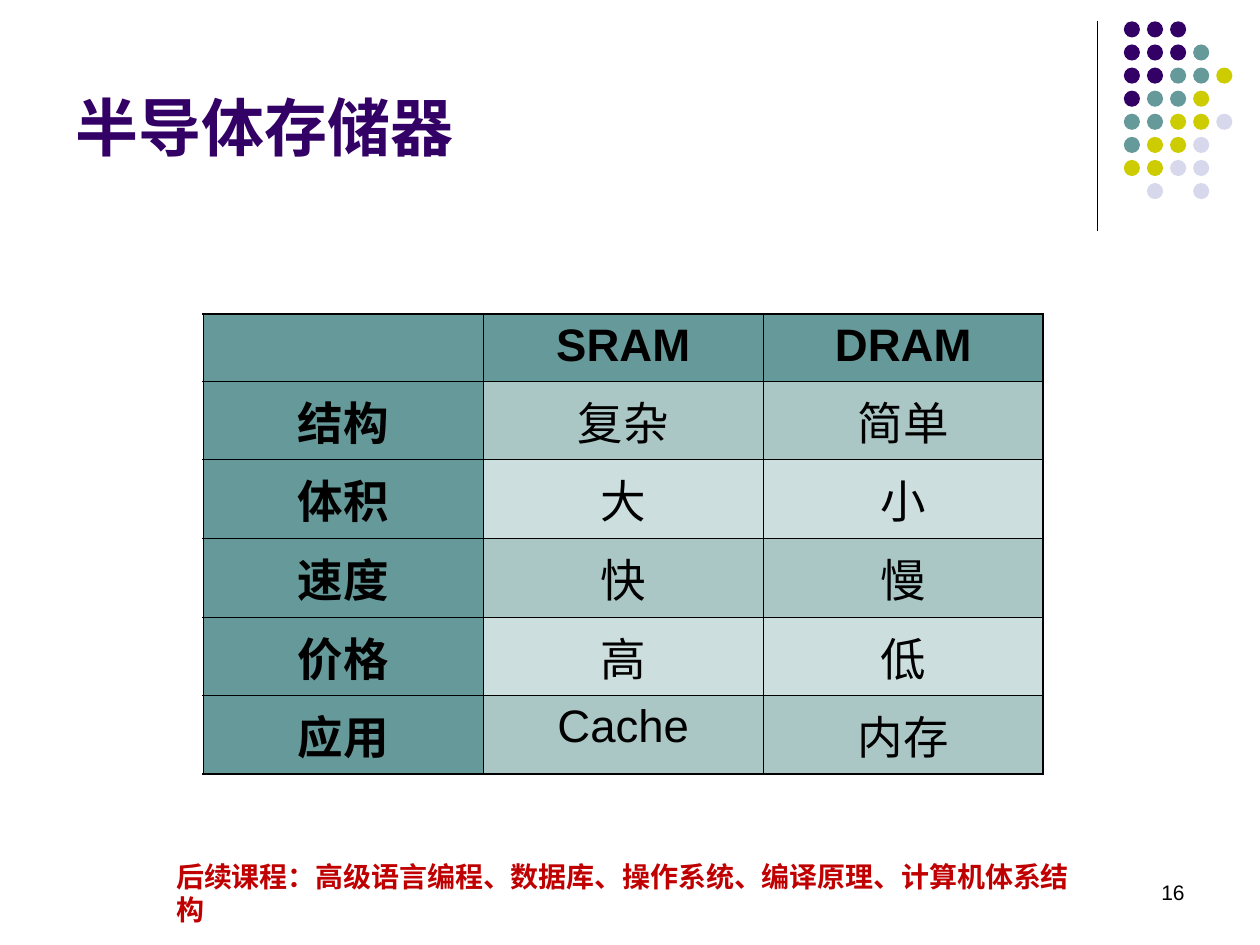
from dataclasses import dataclass

from lxml.etree import SubElement
from pptx import Presentation
from pptx.dml.color import RGBColor as RGB
from pptx.enum.shapes import MSO_CONNECTOR as Conn, MSO_SHAPE as Shape
from pptx.enum.text import MSO_ANCHOR as Anchor, MSO_AUTO_SIZE as AutoSize, PP_ALIGN as Align
from pptx.oxml.ns import qn
from pptx.util import Pt


@dataclass(frozen=True)
class Theme:
    font: str = "Arial"
    ink: str = "000000"
    purple: str = "330066"
    teal: str = "669999"
    olive: str = "CCCC00"
    lilac: str = "D8D8EC"
    band_dark: str = "AAC7C6"
    band_light: str = "CCDEDE"
    accent: str = "C00000"
    title_size: int = 36
    table_size: int = 26
    note_size: int = 16
    number_size: int = 12
    outer_border: float = 1.08
    inner_border: float = 0.45


class SlideBuilder:
    def __init__(self, prs, theme):
        self.theme = theme
        self.s = prs.slides.add_slide(prs.slide_layouts[5])

    def set_text(self, tf, text, size, color, bold=False, align=Align.LEFT):
        tf.text = text
        p = tf.paragraphs[0]
        p.alignment = align
        for r in p.runs:
            r.font.name = self.theme.font
            r.font.size = Pt(size)
            r.font.bold = bold
            r.font.color.rgb = RGB.from_string(color)

    def title(self, text, left, top, width, height):
        sp = self.s.shapes.title
        sp.left, sp.top, sp.width, sp.height = map(Pt, (left, top, width, height))
        tf = sp.text_frame
        tf.auto_size = AutoSize.NONE
        tf.vertical_anchor = Anchor.MIDDLE
        self.set_text(tf, text, self.theme.title_size, self.theme.purple, bold=True)

    def text(self, text, box, size, color, bold=False, align=Align.LEFT, wrap=True):
        tf = self.s.shapes.add_textbox(*map(Pt, box)).text_frame
        tf.word_wrap = wrap
        tf.vertical_anchor = Anchor.MIDDLE
        self.set_text(tf, text, size, color, bold, align)

    def line(self, x1, y1, x2, y2, width):
        sp = self.s.shapes.add_connector(Conn.STRAIGHT, *map(Pt, (x1, y1, x2, y2)))
        sp.line.color.rgb = RGB.from_string(self.theme.ink)
        sp.line.width = Pt(width)
        SubElement(sp._element.spPr, qn("a:effectLst"))

    def dots(self, pattern, left, top, pitch, size):
        t = self.theme
        colors = {"P": t.purple, "T": t.teal, "O": t.olive, "L": t.lilac}
        group = self.s.shapes.add_group_shape()
        for row, marks in enumerate(pattern):
            for col, mark in enumerate(marks):
                if mark not in colors:
                    continue
                x, y = left + col * pitch, top + row * pitch
                sp = group.shapes.add_shape(Shape.OVAL, Pt(x), Pt(y), Pt(size), Pt(size))
                sp.shadow.inherit = False
                sp.fill.solid()
                sp.fill.fore_color.rgb = RGB.from_string(colors[mark])
                sp.line.fill.background()

    def borders(self, cell, outer_sides):
        tc_pr = cell._tc.get_or_add_tcPr()
        for side in "LRTB":
            width = self.theme.outer_border if side in outer_sides else self.theme.inner_border
            ln = SubElement(tc_pr, qn(f"a:ln{side}"), w=str(Pt(width)))
            fill = SubElement(ln, qn("a:solidFill"))
            SubElement(fill, qn("a:srgbClr"), val=self.theme.ink)

    def table(self, rows, left, top, width, height):
        t = self.theme
        last_row, last_col = len(rows) - 1, len(rows[0]) - 1
        frame = self.s.shapes.add_table(
            last_row + 1, last_col + 1, Pt(left), Pt(top), Pt(width), Pt(height))
        table = frame.table
        table.first_row = table.horz_banding = False
        for i, row in enumerate(rows):
            for j, text in enumerate(row):
                cell = table.cell(i, j)
                header = i == 0 or j == 0
                edges = {"L": j == 0, "R": j == last_col, "T": i == 0, "B": i == last_row}
                self.borders(cell, [side for side, outer in edges.items() if outer])
                band = t.band_dark if i % 2 else t.band_light
                cell.fill.solid()
                cell.fill.fore_color.rgb = RGB.from_string(t.teal if header else band)
                self.set_text(cell.text_frame, text, t.table_size, t.ink, header, Align.CENTER)


def main():
    prs = Presentation()
    prs.slide_width, prs.slide_height = Pt(720), Pt(540)
    theme = Theme()
    s = SlideBuilder(prs, theme)

    s.line(627, 12, 627, 132, 0.75)
    s.dots(
        ["PPP", "PPPT", "PPTTO", "PTTO", "TTOOL", "TOOL", "OOLL", ".L.L"],
        left=642.2, top=12.2, pitch=13.2, size=9.2)
    s.title("半导体存储器", 36, 21, 594, 102)
    s.table(
        [
            ["", "SRAM", "DRAM"],
            ["结构", "复杂", "简单"],
            ["体积", "大", "小"],
            ["速度", "快", "慢"],
            ["价格", "高", "低"],
            ["应用", "Cache", "内存"],
        ],
        left=116.2, top=179.4, width=480, height=230.4)
    s.text("后续课程：高级语言编程、数据库、操作系统、编译原理、计算机体系结构",
           (93.6, 496.8, 540.7, 26.6), theme.note_size, theme.accent, bold=True, wrap=False)
    s.text("16", (516, 492, 168, 36), theme.number_size, theme.ink, align=Align.RIGHT)

    prs.save("out.pptx")


if __name__ == "__main__":
    main()
